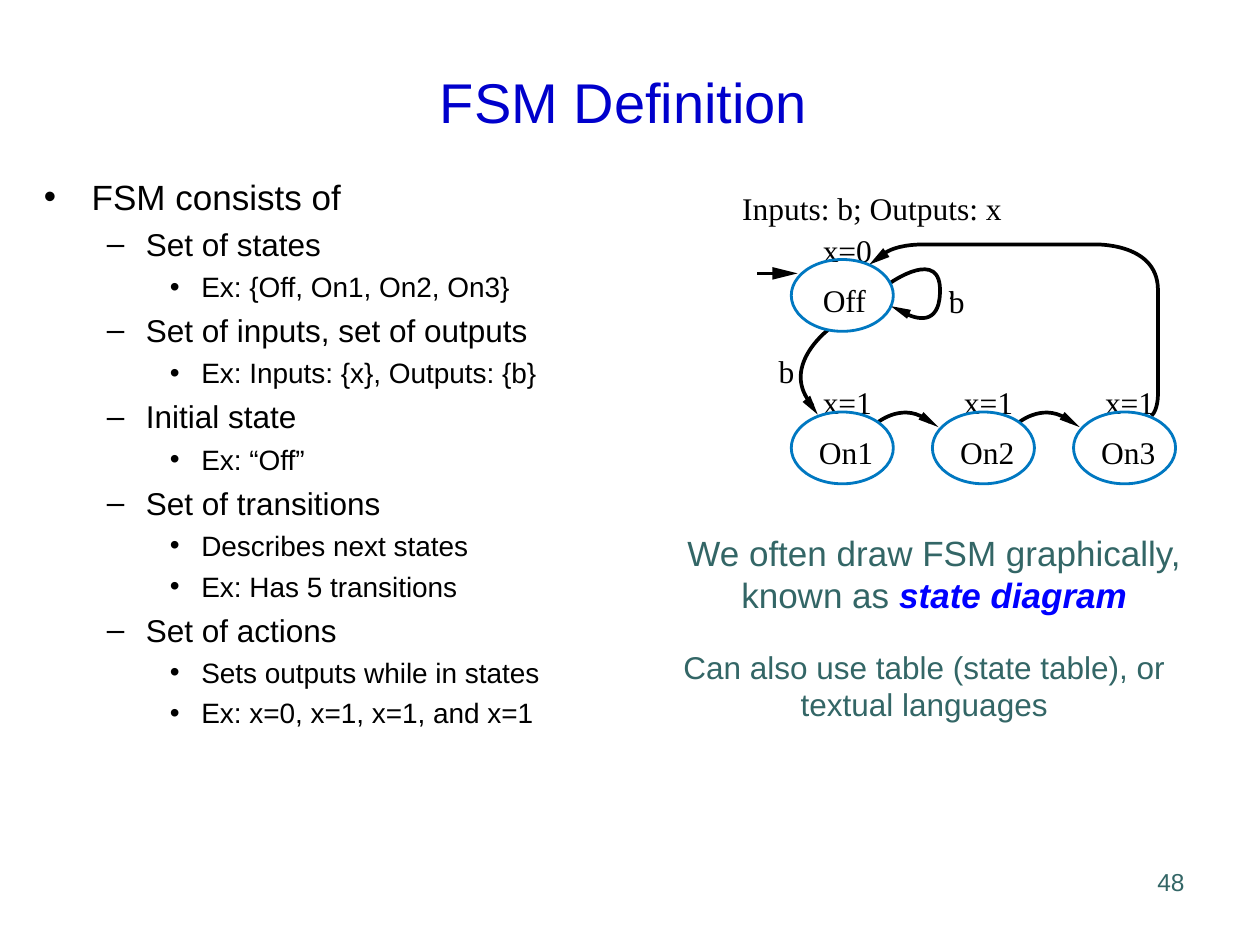
from lxml import etree
from pptx import Presentation
from pptx import util as u
from pptx.dml.color import RGBColor
from pptx.enum import shapes, text
from pptx.oxml.ns import qn

COLORS = {"title": "0000CC", "body": "000000", "note": "336666",
          "term": "0000FF", "state": "0078C1"}
SERIF = {"name": "Times New Roman", "size": u.Pt(18)}
LEVELS = [
    {"size": 20, "before": 5, "margin": 0.38, "hang": 0.38, "bullet": "•"},
    {"size": 18, "before": 4.5, "margin": 0.81, "hang": 0.31, "bullet": "–"},
    {"size": 16, "before": 4, "margin": 1.25, "hang": 0.25, "bullet": "•"},
]
OUTLINE = [
    (0, "FSM consists of"),
    (1, "Set of states"),
    (2, "Ex: {Off, On1, On2, On3}"),
    (1, "Set of inputs, set of outputs"),
    (2, "Ex: Inputs: {x}, Outputs: {b}"),
    (1, "Initial state"),
    (2, "Ex: “Off”"),
    (1, "Set of transitions"),
    (2, "Describes next states"),
    (2, "Ex: Has 5 transitions"),
    (1, "Set of actions"),
    (2, "Sets outputs while in states"),
    (2, "Ex: x=0, x=1, x=1, and x=1"),
]
STATE_GAP = 1.12
STATE_LEFT, OFF_TOP, ON_TOP = 6.28, 2.06, 3.27


def apply(target, values):
    for name, value in values.items():
        setattr(target, name, value)


class SlideBuilder:
    def __init__(self, page):
        self.page = page
        self.shapes = page.shapes

    def color(self, name):
        return RGBColor.from_string(COLORS[name])

    def place(self, shape, area):
        apply(shape, dict(zip(("left", "top", "width", "height"), map(u.Inches, area))))

    def span(self, para, words, color, **font):
        span = para.add_run()
        span.text = words
        apply(span.font, {"name": "Arial", **font})
        span.font.color.rgb = self.color(color)

    def title(self, words, area):
        box = self.shapes.title
        self.place(box, area)
        box.text_frame.vertical_anchor = text.MSO_ANCHOR.MIDDLE
        para = box.text_frame.paragraphs[0]
        para.alignment = text.PP_ALIGN.CENTER
        self.span(para, words, "title", size=u.Pt(32))

    def frame(self, area, **values):
        box = self.shapes.add_textbox(*map(u.Inches, area))
        apply(box.text_frame, {"word_wrap": True, **values})
        return box.text_frame

    def outline(self, items, area):
        frame = self.frame(area)
        for i, (level, words) in enumerate(items):
            style = LEVELS[level]
            para = frame.add_paragraph() if i else frame.paragraphs[0]
            apply(para, {"level": level, "space_before": u.Pt(style["before"])})
            self.span(para, words, "body", size=u.Pt(style["size"]))
            properties = para._p.get_or_add_pPr()
            properties.set("marL", str(u.Inches(style["margin"])))
            properties.set("indent", str(-u.Inches(style["hang"])))
            etree.SubElement(properties, qn("a:buFont")).set("typeface", "Arial")
            etree.SubElement(properties, qn("a:buChar")).set("char", style["bullet"])

    def note(self, parts, area, size, **para_format):
        para = self.frame(area).paragraphs[0]
        apply(para, {"alignment": text.PP_ALIGN.CENTER, **para_format})
        for words, color, font in parts:
            self.span(para, words, color, size=u.Pt(size), **font)

    def label(self, words, left, top, width, **font):
        margins = {f"margin_{side}": 0 for side in ("left", "right", "top", "bottom")}
        frame = self.frame((left, top, width, 0.3), **margins, word_wrap=False)
        self.span(frame.paragraphs[0], words, "body", **{**SERIF, **font})

    def outline_shape(self, shape, color, width):
        shape.shadow.inherit = False
        shape.fill.background()
        shape.line.color.rgb = self.color(color)
        shape.line.width = u.Pt(width)

    def freeform(self, points, close):
        corners = [tuple(map(u.Inches, point)) for point in points]
        builder = self.shapes.build_freeform(*corners[0], scale=1.0)
        builder.add_line_segments(corners[1:], close=close)
        return builder.convert_to_shape()

    def curve(self, *points):
        shape = self.freeform(points, False)
        segments = list(shape._element.iter(qn("a:lnTo")))
        for i in range(0, len(segments), 3):
            cubic = etree.Element(qn("a:cubicBezTo"))
            segments[i].addprevious(cubic)
            for segment in segments[i:i + 3]:
                cubic.append(segment[0])
                segment.getparent().remove(segment)
        self.outline_shape(shape, "body", 2.13)

    def arrowhead(self, *points):
        shape = self.freeform(points, True)
        shape.shadow.inherit = False
        shape.fill.solid()
        shape.fill.fore_color.rgb = self.color("body")
        shape.line.fill.background()

    def line(self, start, end):
        line = self.shapes.add_connector(shapes.MSO_CONNECTOR.STRAIGHT,
                                         *map(u.Inches, start + end))
        line.line.color.rgb = self.color("body")
        line.line.width = u.Pt(2.13)
        etree.SubElement(line._element.spPr, qn("a:effectLst"))

    def state(self, name, output, left, top, name_inset, name_width):
        self.label(output, left + 0.25, top - 0.23, 0.42)
        self.label(name, left + name_inset, top + 0.17, name_width)
        oval = self.shapes.add_shape(shapes.MSO_SHAPE.OVAL,
                                     *map(u.Inches, (left, top, 0.81, 0.57)))
        self.outline_shape(oval, "state", 1.62)


def draw_diagram(slide):
    slide.label("Inputs: b; Outputs: x", 5.89, 1.5, 2.1)

    slide.line((6.01, 2.17), (6.17, 2.17))
    slide.arrowhead((6.33, 2.17), (6.13, 2.12), (6.13, 2.22))

    slide.curve((7.17, 2.48), (7.28, 2.54), (7.45, 2.58), (7.46, 2.33),
                (7.48, 1.95), (7.06, 2.25), (7.06, 2.25))
    slide.arrowhead((7.07, 2.43), (7.2, 2.53), (7.23, 2.46))
    slide.label("b", 7.53, 2.24, 0.15)
    slide.label("’", 7.52, 2.24, 0.25, name="Calibri")

    slide.curve((6.57, 2.62), (6.57, 2.62), (6.18, 2.92), (6.45, 3.22))
    slide.arrowhead((6.49, 3.29), (6.43, 3.14), (6.37, 3.19))
    slide.label("b", 6.18, 2.79, 0.15)

    slide.curve((7.02, 2.01), (7.08, 1.97), (7.18, 1.94), (7.34, 1.94),
                (8.68, 1.94), (8.68, 1.94), (8.68, 1.94),
                (8.68, 1.94), (9.18, 1.92), (9.19, 2.29),
                (9.19, 3.14), (9.19, 3.14), (9.19, 3.14),
                (9.19, 3.14), (9.19, 3.25), (9.14, 3.3))
    slide.arrowhead((6.9, 2.1), (7.06, 2.04), (7.01, 1.97))

    for i in range(2):
        x = i * STATE_GAP
        slide.curve((6.97 + x, 3.35), (6.97 + x, 3.35), (7.18 + x, 3.18), (7.38 + x, 3.35))
        slide.arrowhead((7.45 + x, 3.39), (7.33 + x, 3.27), (7.29 + x, 3.33))

    slide.state("Off", "x=0", STATE_LEFT, OFF_TOP, 0.25, 0.38)
    for i in range(3):
        slide.state(f"On{i + 1}", "x=1", STATE_LEFT + i * STATE_GAP, ON_TOP, 0.22, 0.46)


def main():
    deck = Presentation()
    deck.slide_width, deck.slide_height = u.Inches(10), u.Inches(7.5)
    slide = SlideBuilder(deck.slides.add_slide(deck.slide_layouts[5]))
    slide.title("FSM Definition", (0.24, 0.34, 9.42, 0.92))
    slide.outline(OUTLINE, (0.25, 1.34, 5.17, 5.33))
    draw_diagram(slide)
    slide.note([("We often draw FSM graphically, known as ", "note", {}),
                ("state diagram", "term", {"bold": True, "italic": True})],
               (5.25, 4.17, 4.33, 0.77), 20)
    slide.note([("Can also use table (state table), or textual languages", "note", {})],
               (5.17, 5.09, 4.33, 0.7), 18)
    slide.note([("48", "note", {})], (7.42, 6.83, 2.08, 0.5), 14,
               alignment=text.PP_ALIGN.RIGHT, space_before=u.Pt(8.8))
    deck.save("out.pptx")


if __name__ == "__main__":
    main()
